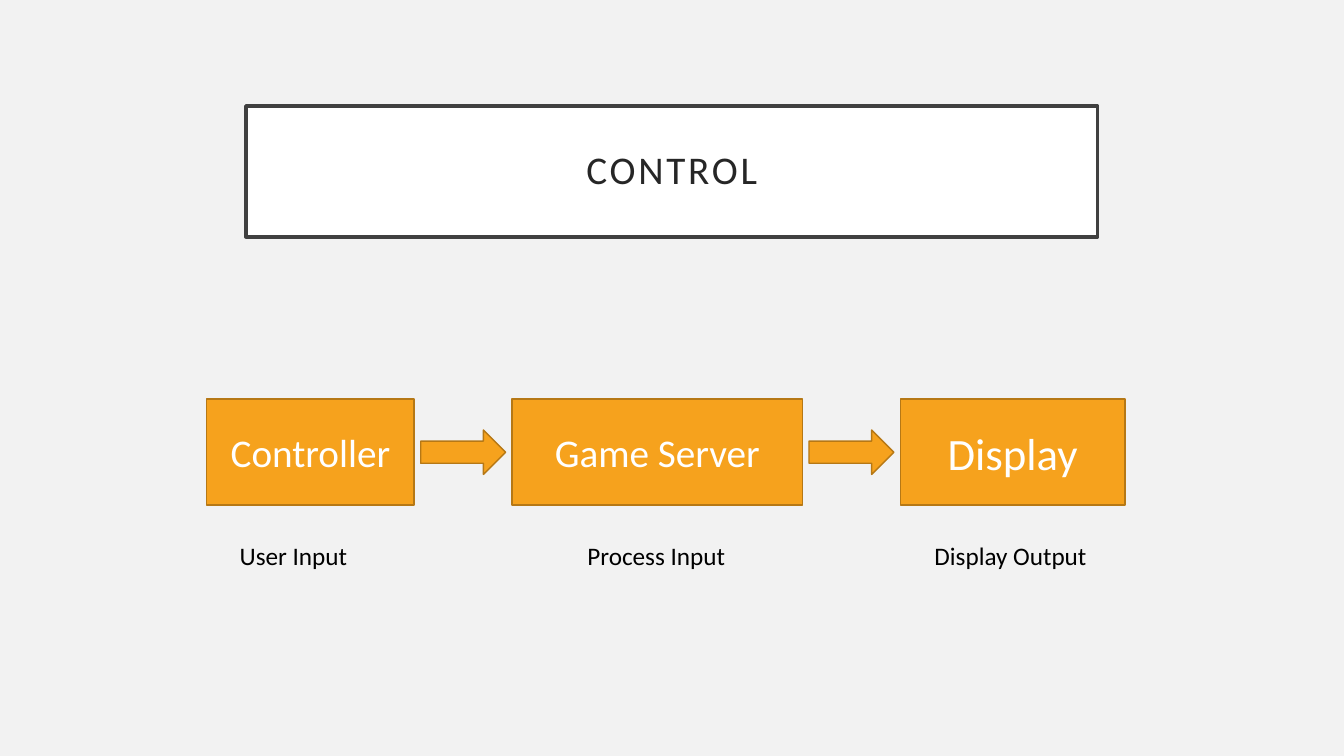
from pptx import Presentation
from pptx.dml.color import RGBColor
from pptx.enum.shapes import MSO_SHAPE
from pptx.enum.text import MSO_ANCHOR, PP_ALIGN
from pptx.util import Cm, Pt

FONT = "Calibri"
ORANGE, BROWN = "F6A21D", "B67815"
# name, name size, box width, caption, caption indent (cm)
STAGES = [
    ("Controller", 28, 5.23, "User Input", 0.58),
    ("Game Server", 28, 7.32, "Process Input", 1.65),
    ("Display", 32, 5.66, "Display Output", 0.61),
]


def color(hex_string):
    """Turn a hex string into a colour."""
    return RGBColor.from_string(hex_string)


def add_box(slide, kind, left, top, width, height, fill, line, line_width):
    """Add a flat preset shape, measured in cm."""
    shape = slide.shapes.add_shape(kind, Cm(left), Cm(top), Cm(width), Cm(height))
    shape.shadow.inherit = False
    shape.fill.solid()
    shape.fill.fore_color.rgb = color(fill)
    shape.line.color.rgb = color(line)
    shape.line.width = Pt(line_width)
    return shape


def write(shape, text, size, text_color, align=PP_ALIGN.CENTER, anchor=MSO_ANCHOR.MIDDLE):
    """Put one line of text in a shape and return its run."""
    frame = shape.text_frame
    frame.word_wrap = True
    frame.vertical_anchor = anchor
    paragraph = frame.paragraphs[0]
    paragraph.alignment = align
    run = paragraph.add_run()
    run.text = text
    run.font.name = FONT
    run.font.size = Pt(size)
    run.font.color.rgb = color(text_color)
    return run


def add_title(slide, left, top, width, height):
    """Add the framed title with spaced letters."""
    frame = add_box(slide, MSO_SHAPE.RECTANGLE, left, top, width, height,
                    "FFFFFF", "404040", 2.5)
    run = write(frame, "CONTROL", 28, "262626")
    run._r.get_or_add_rPr().set("spc", "200")
    frame.text_frame.paragraphs[0].line_spacing = 0.9


def add_flow(slide, left, top, width, height):
    """Add the stages in a row, with arrows in the gaps and captions below."""
    gap = (width - sum(stage[2] for stage in STAGES)) / (len(STAGES) - 1)
    arrow_width, arrow_height = 2.14, 1.12
    for index, (name, size, stage_width, caption, indent) in enumerate(STAGES):
        if index:
            add_box(slide, MSO_SHAPE.RIGHT_ARROW, left - (gap + arrow_width) / 2,
                    top + (height - arrow_height) / 2, arrow_width, arrow_height,
                    ORANGE, BROWN, 1)
        stage = add_box(slide, MSO_SHAPE.RECTANGLE, left, top, stage_width, height,
                        ORANGE, BROWN, 1)
        write(stage, name, size, "FFFFFF")
        label = slide.shapes.add_textbox(Cm(left + indent), Cm(top + 3.43),
                                         Cm(4.8), Cm(1.03))
        write(label, caption, 18, "000000", PP_ALIGN.LEFT, MSO_ANCHOR.TOP)
        left += stage_width + gap


def build():
    """Build the slide and save it."""
    deck = Presentation()
    deck.slide_width, deck.slide_height = Cm(33.87), Cm(19.05)
    slide = deck.slides.add_slide(deck.slide_layouts[6])
    slide.background.fill.solid()
    slide.background.fill.fore_color.rgb = color("F2F2F2")
    add_title(slide, 6.2, 2.67, 21.46, 3.3)
    add_flow(slide, 5.21, 10.06, 23.14, 2.67)
    deck.save("out.pptx")


build()
